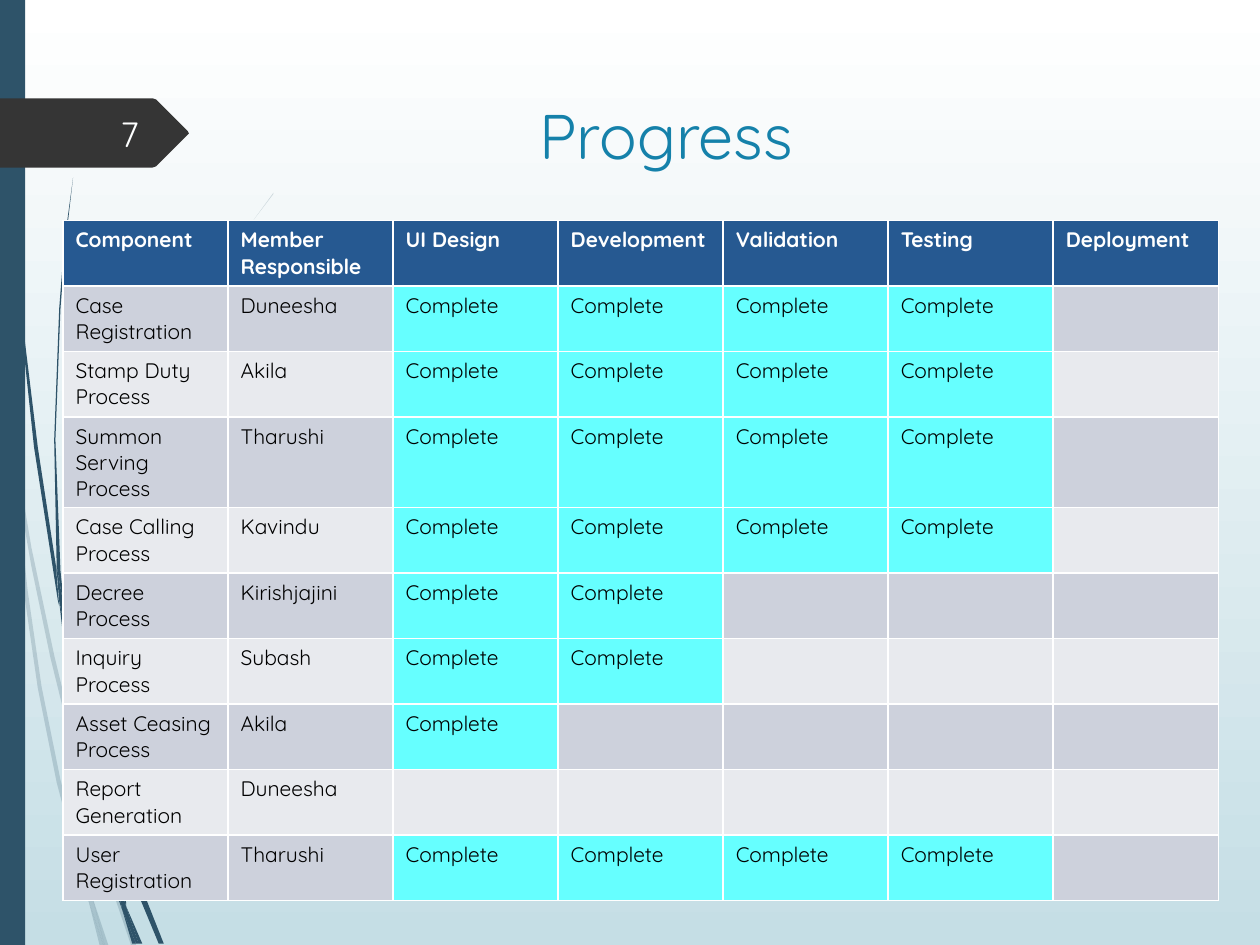
from pptx import Presentation
from pptx.dml.color import RGBColor
from pptx.enum.shapes import MSO_SHAPE
from pptx.enum.text import MSO_ANCHOR, PP_ALIGN
from pptx.oxml.ns import qn
from pptx.util import Pt
from lxml.etree import SubElement

PX = 9144
W, H = 1000, 750

THEME = {
    "font": "Quicksand",
    "bg": ("FFFFFF", "C5DEE5"),
    "wisp": "2E5369", "tag": "353535", "number": "FEFFFF",
    "title": "1581AA", "header": "265991", "header_text": "FFFFFF",
    "bands": ("CDD1DC", "E8EAEE"), "done": "66FFFF", "text": "000000",
    "title_size": 36, "number_size": 20, "cell_size": 12,
}

HEADERS = ["Component", "Member Responsible", "UI Design", "Development",
           "Validation", "Testing", "Deployment"]
PROGRESS = [
    ("Case Registration", "Duneesha", 4),
    ("Stamp Duty Process", "Akila", 4),
    ("Summon Serving Process", "Tharushi", 4),
    ("Case Calling Process", "Kavindu", 4),
    ("Decree Process", "Kirishjajini", 2),
    ("Inquiry Process", "Subash", 2),
    ("Asset Ceasing Process", "Akila", 1),
    ("Report Generation", "Duneesha", 0),
    ("User Registration", "Tharushi", 4),
]
TABLE_LEFT, TABLE_TOP, COL_W, ROW_H, TALL_ROW_H, TALL_ROW = 50, 175, 131, 52, 72, 3

PALE_WISPS = [
    [(8, 350), (6, 322), (0, 282), (0, 299), (7, 344)],
    [(40, 522), (59, 599), (59, 586), (43, 520), (25, 435), (10, 345), (12, 376), (25, 450)],
    [(64, 607), (61, 596), (61, 610), (85, 694), (104, 750), (108, 750), (88, 692)],
    [(83, 750), (86, 750), (73, 711)],
    [(64, 683), (48, 619), (33, 545), (22, 469), (12, 376), (8, 350), (19, 470),
     (30, 546), (45, 621), (64, 693), (70, 714), (69, 707)],
    [(58, 599), (60, 646), (64, 683), (67, 692), (73, 711), (72, 706), (63, 646),
     (61, 610), (61, 608)],
    [(61, 584), (65, 522), (76, 462), (92, 405), (111, 349), (134, 296), (159, 245),
     (187, 198), (201, 175), (217, 154), (217, 153), (201, 175), (186, 197), (158, 244),
     (133, 295), (110, 348), (91, 404), (75, 461), (63, 522), (59, 584), (59, 586), (61, 596)],
    [(70, 714), (79, 750), (82, 750)],
    [(61, 608), (61, 610), (61, 596), (59, 586), (58, 599)],
    [(67, 692), (65, 683), (69, 707), (70, 714), (82, 750), (83, 750), (73, 711)],
]
DARK_WISPS = [
    [(5, 110), (14, 233), (27, 355), (46, 477), (47, 481), (45, 457), (45, 453),
     (30, 355), (15, 232), (6, 109), (4, 48), (3, 0), (2, 0), (3, 48)],
    [(73, 592), (88, 645), (88, 633), (88, 631), (77, 590), (62, 532), (50, 472), (53, 505)],
    [(94, 649), (91, 641), (91, 656), (109, 708), (126, 749), (130, 749), (113, 706)],
    [(91, 691), (81, 657), (69, 607), (60, 556), (53, 505), (47, 477), (56, 557),
     (65, 608), (77, 659), (92, 708), (97, 722), (96, 717)],
    [(50, 472), (48, 453), (44, 349), (48, 245), (52, 193), (58, 141), (51, 193),
     (47, 245), (43, 349), (45, 449), (49, 472)],
    [(110, 749), (113, 749), (100, 719)],
    [(47, 477), (53, 505), (50, 472), (49, 472), (45, 449), (45, 453)],
    [(91, 633), (95, 592), (103, 552), (115, 513), (131, 476), (169, 406), (191, 374),
     (203, 359), (216, 344), (215, 344), (203, 358), (191, 373), (168, 405), (129, 474),
     (114, 511), (101, 551), (93, 591), (88, 631), (91, 641)],
    [(97, 722), (105, 749), (108, 749)],
    [(88, 645), (91, 691), (96, 706), (100, 719), (100, 716), (91, 656), (90, 651)],
    [(88, 645), (90, 651), (91, 656), (91, 641), (88, 631), (88, 633)],
    [(96, 706), (91, 691), (96, 717), (97, 722), (108, 749), (110, 749), (100, 719)],
]
TAG = [(0, 78), (121, 78), (124, 79), (149, 104), (150, 106), (149, 107),
       (124, 132), (121, 133), (0, 133)]


def paint(s, color, alpha=None):
    s.shadow.inherit = False
    s.line.fill.background()
    s.fill.solid()
    s.fill.fore_color.rgb = RGBColor.from_string(color)
    if alpha:
        clr = s.fill._xPr.find(qn("a:solidFill"))[0]
        SubElement(clr, qn("a:alpha")).set("val", str(alpha * 1000))


def outline(shapes, points, color, alpha=None):
    fb = shapes.build_freeform(*points[0], scale=PX)
    fb.add_line_segments(points[1:], close=True)
    paint(fb.convert_to_shape(), color, alpha)


def write(tf, text, size, color, align=PP_ALIGN.LEFT, bold=False):
    tf.word_wrap = True
    p = tf.paragraphs[0]
    p.alignment = align
    r = p.add_run()
    r.text = text
    r.font.name = THEME["font"]
    r.font.size = Pt(size)
    r.font.bold = bold
    r.font.color.rgb = RGBColor.from_string(color)


def add_text(shapes, box, anchor, *style):
    tf = shapes.add_textbox(*(v * PX for v in box)).text_frame
    tf.vertical_anchor = anchor
    write(tf, *style)


def fill_cell(cell, text, fill, color, bold=False):
    cell.fill.solid()
    cell.fill.fore_color.rgb = RGBColor.from_string(fill)
    if text:
        write(cell.text_frame, text, THEME["cell_size"], color, bold=bold)


def add_progress_table(shapes):
    n_rows, n_cols = len(PROGRESS) + 1, len(HEADERS)
    height = ROW_H * (n_rows - 1) + TALL_ROW_H
    table = shapes.add_table(n_rows, n_cols, TABLE_LEFT * PX, TABLE_TOP * PX,
                             COL_W * n_cols * PX, height * PX).table
    for i, row in enumerate(table.rows):
        row.height = (TALL_ROW_H if i == TALL_ROW else ROW_H) * PX
    for j, name in enumerate(HEADERS):
        fill_cell(table.cell(0, j), name, THEME["header"], THEME["header_text"], True)
    for i, (component, member, done) in enumerate(PROGRESS):
        stages = ["Complete"] * done + [""] * (n_cols - 2 - done)
        for j, text in enumerate([component, member] + stages):
            fill = THEME["done"] if j > 1 and text else THEME["bands"][i % 2]
            fill_cell(table.cell(i + 1, j), text, fill, THEME["text"])


def main():
    prs = Presentation()
    prs.slide_width, prs.slide_height = W * PX, H * PX
    slide = prs.slides.add_slide(prs.slide_layouts[6])
    shapes = slide.shapes

    bg = slide.background.fill
    bg.gradient()
    bg.gradient_angle = 270
    for stop, position, color in zip(bg.gradient_stops, (0, 1), THEME["bg"]):
        stop.position = position
        stop.color.rgb = RGBColor.from_string(color)

    for wisps, alpha in ((PALE_WISPS, 20), (DARK_WISPS, None)):
        group = shapes.add_group_shape()
        for points in wisps:
            outline(group.shapes, points, THEME["wisp"], alpha)
    paint(shapes.add_shape(MSO_SHAPE.RECTANGLE, 0, 0, 20 * PX, H * PX), THEME["wisp"])
    outline(shapes, TAG, THEME["tag"])

    add_text(shapes, (175, 72, 721, 140), MSO_ANCHOR.TOP, "Progress ",
             THEME["title_size"], THEME["title"], PP_ALIGN.CENTER)
    add_text(shapes, (56, 86, 64, 40), MSO_ANCHOR.MIDDLE, "7",
             THEME["number_size"], THEME["number"], PP_ALIGN.RIGHT)
    add_progress_table(shapes)
    prs.save("out.pptx")


if __name__ == "__main__":
    main()
